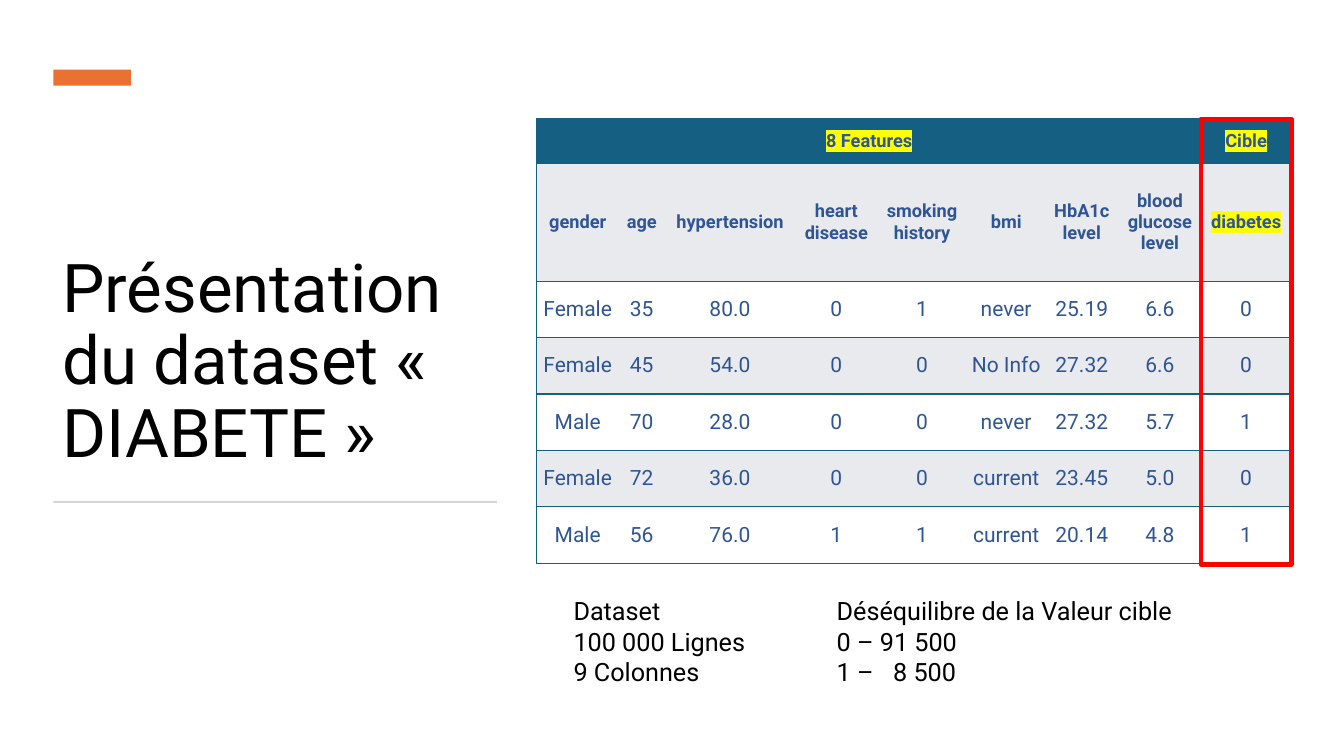
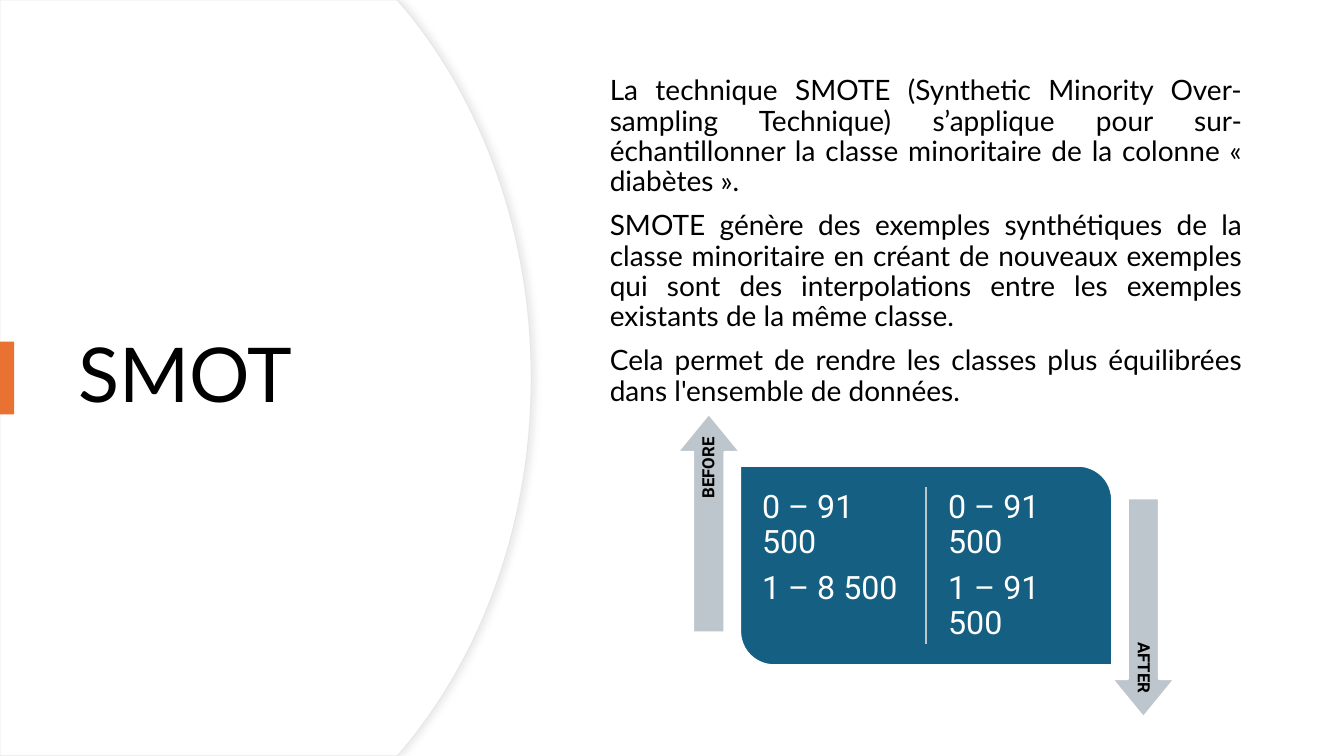
from dataclasses import dataclass
from lxml.etree import SubElement as Sub
from pptx import Presentation
from pptx.dml.color import RGBColor as RGB
from pptx.enum.shapes import MSO_CONNECTOR as Link, MSO_SHAPE as Kind
from pptx.enum.text import MSO_ANCHOR as Anchor, PP_ALIGN as Align
from pptx.oxml.ns import qn
from pptx.util import Pt

PX = 9144  # EMU in one px, 100 px to the inch


@dataclass(frozen=True)
class Theme:
    sans: str = "Roboto"
    soft: str = "Lato"
    ink: str = "000000"
    white: str = "FFFFFF"
    accent: str = "E97132"
    teal: str = "156082"
    blue: str = "2F5597"
    band: str = "E8EAED"
    steel: str = "BDC5CD"
    rule: str = "D5D5D5"
    edge: str = "E6E6E6"
    shade: str = "D9D9D9"
    mark: str = "FFFF00"
    alert: str = "FF0000"
    title: int = 48
    huge: int = 54
    count: int = 23
    body: int = 20
    note: int = 18
    cell: int = 15
    head: int = 13
    tag: int = 12


T = Theme()


# Shared helpers
def emu(*sizes):
    return [round(size * PX) for size in sizes]


def paint(shape, fill=None, line=None, width=1.5):
    shape.shadow.inherit = False
    if fill:
        shape.fill.solid()
        shape.fill.fore_color.rgb = RGB.from_string(fill)
    else:
        shape.fill.background()
    if line:
        shape.line.color.rgb = RGB.from_string(line)
        shape.line.width = Pt(width)
    else:
        shape.line.fill.background()
    return shape


def block(slide, box, fill=None, line=None, width=1.5, kind=Kind.RECTANGLE):
    return paint(slide.shapes.add_shape(kind, *emu(*box)), fill, line, width)


def style(para, size, color=T.ink, face=T.sans, bold=False, align=Align.LEFT):
    para.alignment = align
    font = para.font
    font.name, font.size, font.bold = face, Pt(size), bold
    font.color.rgb = RGB.from_string(color)


def write(slide, box, lines, size, anchor=Anchor.TOP, inset=(10, 5),
          lead=None, before=0, after=0, **look):
    area = slide.shapes.add_textbox(*emu(*box))
    frame = area.text_frame
    frame.word_wrap, frame.vertical_anchor = True, anchor
    frame.margin_left = frame.margin_right = inset[0] * PX
    frame.margin_top = frame.margin_bottom = inset[1] * PX
    for i, line in enumerate(lines):
        para = frame.add_paragraph() if i else frame.paragraphs[0]
        para.text = line
        para.line_spacing = lead
        para.space_before, para.space_after = Pt(before), Pt(after)
        style(para, size, **look)
    return area


def title(slide, box, text, size, face, anchor):
    write(slide, box, [text], size, anchor, lead=0.9, face=face)


def bar(slide, box):
    block(slide, box, T.accent)


# Dataset table
WIDE = [82, 45, 130, 81, 89, 78, 72, 83, 88]
HIGH = [44, 117] + [56] * 5
ROWS = [
    ["8 Features"] + [""] * 7 + ["Cible"],
    ["gender", "age", "hypertension", "heart disease", "smoking history",
     "bmi", "HbA1c level", "blood glucose level", "diabetes"],
    ["Female", "35", "80.0", "0", "1", "never", "25.19", "6.6", "0"],
    ["Female", "45", "54.0", "0", "0", "No Info", "27.32", "6.6", "0"],
    ["Male", "70", "28.0", "0", "0", "never", "27.32", "5.7", "1"],
    ["Female", "72", "36.0", "0", "0", "current", "23.45", "5.0", "0"],
    ["Male", "56", "76.0", "1", "1", "current", "20.14", "4.8", "1"],
]
MARKED = {"8 Features", "Cible", "diabetes"}


def border(cell, sides):
    props = cell._tc.get_or_add_tcPr()
    for side in "LRTB":
        line = Sub(props, qn("a:ln" + side), w=str(Pt(1)))
        if side in sides:
            fill = Sub(line, qn("a:solidFill"))
            Sub(fill, qn("a:srgbClr"), val=T.teal)
        else:
            Sub(line, qn("a:noFill"))


def fill_cell(cell, text, row, col):
    border(cell, "TB" + "L" * (col == 0) + "R" * (col == len(WIDE) - 1))
    cell.fill.solid()
    tone = T.teal if row == 0 else T.band if row % 2 else T.white
    cell.fill.fore_color.rgb = RGB.from_string(tone)
    cell.vertical_anchor = Anchor.MIDDLE
    cell.margin_left = cell.margin_right = PX
    cell.margin_top = cell.margin_bottom = PX
    para = cell.text_frame.paragraphs[0]
    para.text = text
    top = row < 2
    style(para, T.head if top else T.cell, T.blue, bold=top,
          align=Align.CENTER)
    if text in MARKED:
        glow = Sub(para.runs[0]._r.get_or_add_rPr(), qn("a:highlight"))
        Sub(glow, qn("a:srgbClr"), val=T.mark)


def grid(slide, left, top):
    wide, high = sum(WIDE), sum(HIGH)
    table = slide.shapes.add_table(
        len(ROWS), len(WIDE), *emu(left, top, wide, high)).table
    table.first_row = table.horz_banding = False
    for col, size in zip(table.columns, WIDE):
        col.width = size * PX
    for row, size in zip(table.rows, HIGH):
        row.height = size * PX
    for r, texts in enumerate(ROWS):
        for c, text in enumerate(texts):
            fill_cell(table.cell(r, c), text, r, c)
    table.cell(0, 0).merge(table.cell(0, 7))
    # Frame round the target column
    last = WIDE[-1] + 2
    block(slide, (left + wide - last + 1, top, last, high + 1),
          line=T.alert, width=3)


def notes(slide, left, top):
    write(slide, (left, top, 260, 101),
          ["Dataset", "100 000 Lignes", "9 Colonnes"], T.note)
    area = write(slide, (left + 261, top, 451, 101),
                 ["Déséquilibre de la Valeur cible", "0 – 91 500",
                  "1 –\t8 500"], T.note)
    # Tab stop lines up the shorter count
    props = area.text_frame.paragraphs[-1]._p.get_or_add_pPr()
    tabs = props.makeelement(qn("a:tabLst"))
    Sub(tabs, qn("a:tab"), pos=str(56 * PX), algn="l")
    props.find(qn("a:defRPr")).addprevious(tabs)


def data_slide(slide):
    title(slide, (52, 123, 440, 350),
          "Présentation du dataset « DIABETE »",
          T.title, T.sans, Anchor.BOTTOM)
    bar(slide, (53, 69, 77, 16))
    block(slide, (53, 497, 440, 2), T.rule)
    grid(slide, 532, 118)
    notes(slide, 559, 586)


# Curved panel
def curve(a, b, c, d, steps=30):
    for i in range(1, steps + 1):
        t = i / steps
        u = 1 - t
        yield tuple(u**3 * p + 3 * u * u * t * q + 3 * u * t * t * r + t**3 * s
                    for p, q, r, s in zip(a, b, c, d))


def panel(slide, wide, high):
    mid = high / 2
    upper = [(wide - 126, 8), *curve((wide - 126, 8), (wide - 48, 102),
                                     (wide, 232), (wide, mid))]
    lower = [(x, high - y) for x, y in reversed(upper[:-1])]
    points = [(wide - 133, 0), *upper, *lower, (wide - 133, high), (0, high)]
    draft = slide.shapes.build_freeform(0, 0)
    draft.add_line_segments([emu(*point) for point in points])
    shape = paint(draft.convert_to_shape(), T.white, T.edge, 0.75)
    # Soft shadow to the right
    soft = Sub(shape._element.spPr.find(qn("a:effectLst")),
               qn("a:outerShdw"), blurRad=str(Pt(4)), dist=str(Pt(3)),
               dir="0", algn="l", rotWithShape="0")
    tone = Sub(soft, qn("a:srgbClr"), val=T.shade)
    Sub(tone, qn("a:alpha"), val="50000")


# Before and after counts
def arrow(slide, mid_x, mid_y, way, word):
    """way is -1 for up and 1 for down."""
    wide, high = 217, 62
    shape = block(slide, (mid_x - wide / 2, mid_y - high / 2, wide, high),
                  T.steel, T.white, kind=Kind.RIGHT_ARROW)
    shape.adjustments[0], shape.adjustments[1] = 0.5, 0.61
    wide, high = 198, 31
    label = write(slide, (mid_x - wide / 2, mid_y - 9 * way - high / 2,
                          wide, high), [word], T.tag, Anchor.MIDDLE, (5, 5),
                  lead=0.9, bold=True, align=Align.RIGHT)
    shape.rotation = label.rotation = 90 * way % 360


def counts(slide, left, top, wide, high):
    card = block(slide, (left, top, wide, high), T.teal, T.white,
                 kind=Kind.ROUND_2_DIAG_RECTANGLE)
    card.adjustments[0], card.adjustments[1] = 0, 0.17
    mid = left + wide / 2
    line = slide.shapes.add_connector(
        Link.STRAIGHT, *emu(mid, top + 21, mid, top + high - 21))
    line.line.color.rgb = RGB.from_string(T.steel)
    line.line.width = Pt(1.5)
    Sub(line._element.spPr, qn("a:effectLst"))
    for x, last in ((left + 12, "1 – 8 500"), (mid + 12, "1 – 91 500")):
        write(slide, (x, top + 15, 160, 168), ["0 – 91 500", last], T.count,
              inset=(10, 10), lead=0.9, after=8, color=T.white)
    arrow(slide, left - 31, top + 57, -1, "BEFORE")
    arrow(slide, left + wide + 31, top + high - 57, 1, "AFTER")


BODY = [
    "La technique SMOTE (Synthetic Minority Over-sampling Technique) "
    "s’applique pour sur-échantillonner la classe minoritaire de la colonne "
    "« diabètes ».",
    "SMOTE génère des exemples synthétiques de la classe minoritaire en "
    "créant de nouveaux exemples qui sont des interpolations entre les "
    "exemples existants de la même classe.",
    "Cela permet de rendre les classes plus équilibrées dans l'ensemble de "
    "données.",
]


def smote_slide(slide):
    panel(slide, 527, 750)
    title(slide, (68, 127, 394, 495), "SMOT", T.huge, T.soft, Anchor.MIDDLE)
    bar(slide, (0, 339, 14, 72))
    write(slide, (595, 69, 647, 342), BODY, T.body, Anchor.MIDDLE,
          lead=0.9, before=10, face=T.soft, align=Align.JUSTIFY)
    counts(slide, 734, 462, 369, 198)


def main():
    deck = Presentation()
    deck.slide_width, deck.slide_height = emu(1333, 750)
    for build in (data_slide, smote_slide):
        build(deck.slides.add_slide(deck.slide_layouts[6]))
    deck.save("out.pptx")


if __name__ == "__main__":
    main()
